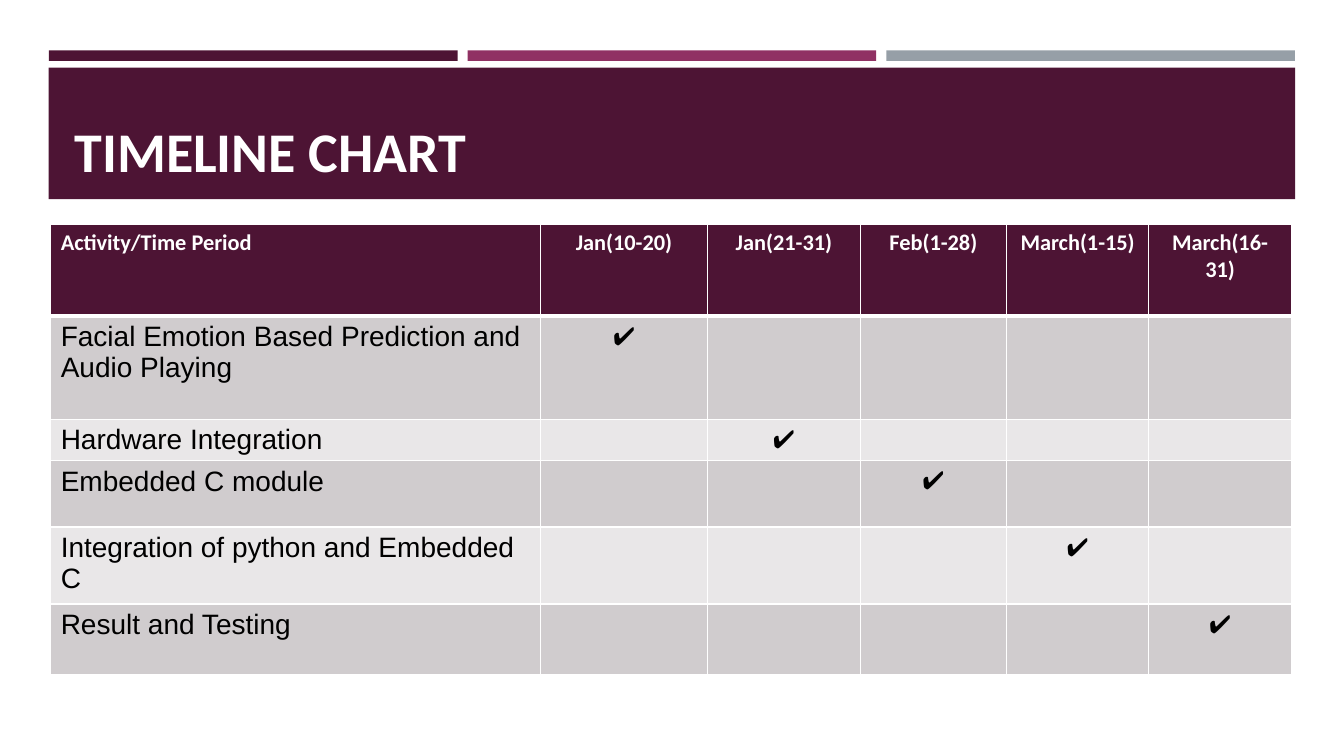
from lxml import etree
from pptx import Presentation
from pptx.dml.color import RGBColor
from pptx.enum import shapes, text
from pptx.oxml import ns
from pptx.util import Pt

PLUM = RGBColor(0x4D, 0x14, 0x34)
ROSE = RGBColor(0x90, 0x31, 0x63)
STEEL = RGBColor(0x96, 0x9F, 0xA7)
DARK = RGBColor(0xD0, 0xCC, 0xCE)
PALE = RGBColor(0xE9, 0xE7, 0xE8)
WHITE = RGBColor(0xFF, 0xFF, 0xFF)
BLACK = RGBColor(0, 0, 0)

HEADS = ["Activity/Time Period", "Jan(10-20)", "Jan(21-31)", "Feb(1-28)",
         "March(1-15)", "March(16-31)"]
TASKS = ["Facial Emotion Based Prediction and Audio Playing",
         "Hardware Integration", "Embedded C module",
         "Integration of python and Embedded C", "Result and Testing"]
WIDTHS = [349.8, 119.5, 109, 104.5, 101.7, 101.7]
HEIGHTS = [65.6, 74, 29.3, 47.2, 55, 50.8]


def write(frame, words, size=18, font="Calibri", color=BLACK, bold=False,
          align=text.PP_ALIGN.LEFT):
    para = frame.paragraphs[0]
    para.alignment = align
    run = para.add_run()
    run.text = words
    run.font.size = Pt(size)
    run.font.name = font
    run.font.bold = bold
    run.font.color.rgb = color


def block(slide, left, top, width, height, color):
    rect = slide.shapes.add_shape(shapes.MSO_SHAPE.RECTANGLE, Pt(left),
                                  Pt(top), Pt(width), Pt(height))
    rect.shadow.inherit = False
    rect.fill.solid()
    rect.fill.fore_color.rgb = color
    rect.line.fill.background()


def stripes(slide, left, top, width, height, gap=7.2):
    part = (width - 2 * gap) / 3
    for i, color in enumerate([PLUM, ROSE, STEEL]):
        block(slide, left + i * (part + gap), top, part, height, color)


def banner(slide, left, top, width, height):
    block(slide, left, top, width, height, PLUM)
    title = slide.shapes.title
    title.element.getparent().append(title.element)
    title.left, title.top = Pt(left + 11.3), Pt(top + 7)
    title.width, title.height = Pt(width - 22.6), Pt(height - 14)
    frame = title.text_frame
    frame.auto_size = text.MSO_AUTO_SIZE.NONE
    frame.vertical_anchor = text.MSO_ANCHOR.BOTTOM
    write(frame, "TIMELINE CHART", size=40, color=WHITE, bold=True)


def border(cell, base):
    props = cell._tc.get_or_add_tcPr()
    for side, size in zip("LRTB", [1, 1, 1, base]):
        line = etree.SubElement(props, ns.qn("a:ln" + side), w=str(Pt(size)))
        fill = etree.SubElement(line, ns.qn("a:solidFill"))
        etree.SubElement(fill, ns.qn("a:srgbClr"), val=str(WHITE))


def grid(slide, left, top, width, height):
    table = slide.shapes.add_table(len(HEIGHTS), len(WIDTHS), Pt(left),
                                   Pt(top), Pt(width), Pt(height)).table
    for col, size in zip(table.columns, WIDTHS):
        col.width = Pt(size)
    for row, size in zip(table.rows, HEIGHTS):
        row.height = Pt(size)
    for r in range(len(HEIGHTS)):
        for c in range(len(WIDTHS)):
            cell = table.cell(r, c)
            border(cell, 1 if r else 3)
            cell.fill.solid()
            cell.fill.fore_color.rgb = (DARK if r % 2 else PALE) if r else PLUM
            align = text.PP_ALIGN.CENTER if c else text.PP_ALIGN.LEFT
            if r == 0:
                write(cell.text_frame, HEADS[c], size=16, color=WHITE,
                      bold=True, align=align)
            elif c == 0:
                write(cell.text_frame, TASKS[r - 1], size=20, font="Arial")
            elif c == r:
                write(cell.text_frame, "✔", align=align)


def main():
    deck = Presentation()
    deck.slide_width, deck.slide_height = Pt(960), Pt(540)
    slide = deck.slides.add_slide(deck.slide_layouts[5])
    stripes(slide, 35, 36, 890, 7.5)
    banner(slide, 34.8, 48.4, 890.4, 93.8)
    grid(slide, 36.2, 160.1, sum(WIDTHS), sum(HEIGHTS))
    deck.save("out.pptx")


if __name__ == "__main__":
    main()
